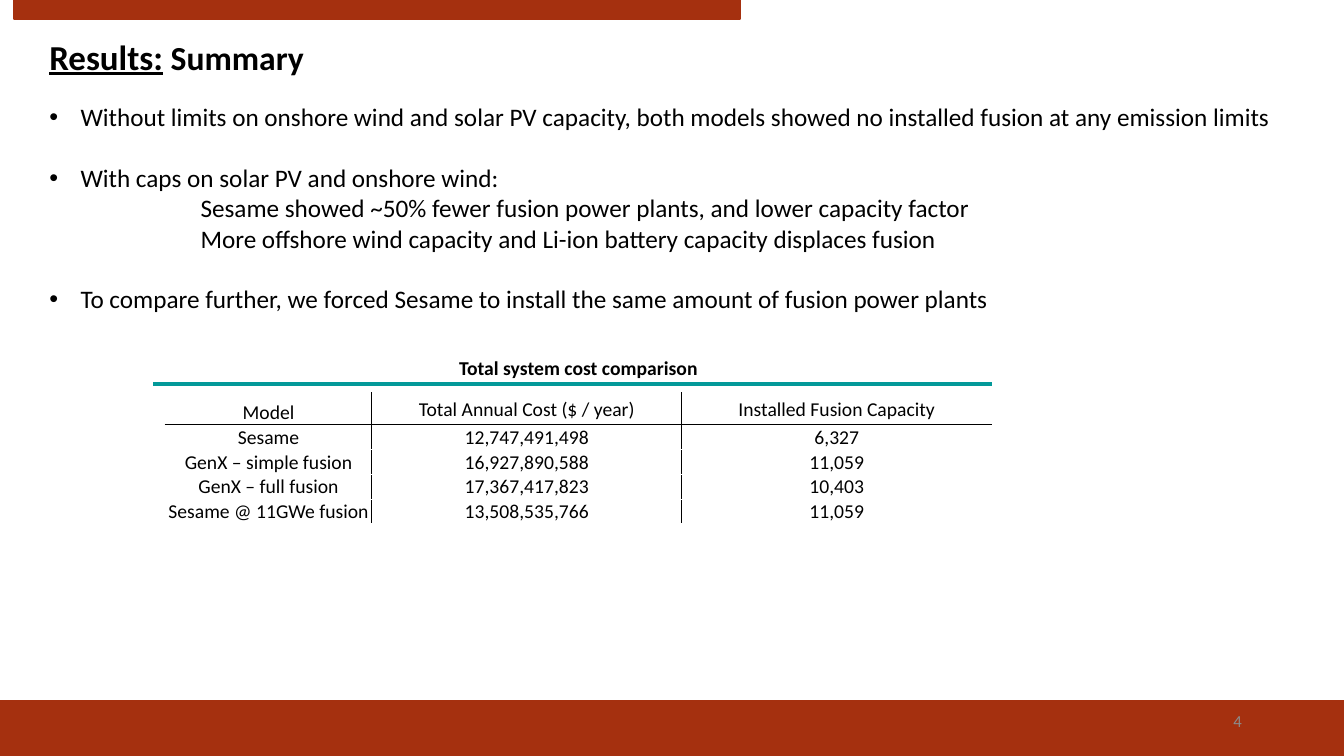
from dataclasses import dataclass

from lxml.etree import SubElement
from pptx import Presentation
from pptx.dml.color import RGBColor
from pptx.enum.shapes import MSO_CONNECTOR, MSO_SHAPE
from pptx.enum.text import MSO_ANCHOR as Anchor, PP_ALIGN as Align
from pptx.oxml.ns import qn
from pptx.util import Emu, Inches, Pt


@dataclass(frozen=True)
class Theme:
    """Colours, font and type sizes of the slide."""
    font: str = "Calibri"
    brick: str = "A5300F"
    teal: str = "039999"
    grey: str = "8C8C8C"
    black: str = "000000"
    white: str = "FFFFFF"
    lead: int = 25
    title: int = 24
    body: int = 18
    table: int = 14
    number: int = 12


@dataclass(frozen=True)
class Box:
    """A rectangle that can be divided into 100 columns and 100 rows."""
    left: float
    top: float
    width: float
    height: float

    def area(self, column, row, columns, rows):
        """Return the box that covers an area of this one."""
        across, down = self.width / 100, self.height / 100
        return Box(self.left + column * across, self.top + row * down,
                   columns * across, rows * down)

    def lengths(self):
        """Return left, top, width and height as whole units."""
        return [Emu(round(value)) for value in
                (self.left, self.top, self.width, self.height)]


THEME = Theme()
BULLETS = [
    ("Without limits on onshore wind and solar PV capacity, both models "
     "showed no installed fusion at any emission limits", []),
    ("With caps on solar PV and onshore wind:", [
        "Sesame showed ~50% fewer fusion power plants, and lower capacity factor",
        "More offshore wind capacity and Li-ion battery capacity displaces fusion"]),
    ("To compare further, we forced Sesame to install the same amount of "
     "fusion power plants", []),
]
COSTS = [
    ("Model", "Total Annual Cost ($ / year)", "Installed Fusion Capacity"),
    ("Sesame", "12,747,491,498", "6,327"),
    ("GenX – simple fusion", "16,927,890,588", "11,059"),
    ("GenX – full fusion", "17,367,417,823", "10,403"),
    ("Sesame @ 11GWe fusion", "13,508,535,766", "11,059"),
]
COLUMN_SHARES = (0.25, 0.375, 0.375)
ROW_SHARES = (0.24, 0.19, 0.19, 0.19, 0.19)


def add_run(paragraph, text, size, color=THEME.black, bold=False, underline=False):
    """Add one styled run to a paragraph."""
    run = paragraph.add_run()
    run.text = text
    font = run.font
    font.name, font.size = THEME.font, Pt(size)
    font.bold, font.underline = bold, underline
    font.color.rgb = RGBColor.from_string(color)


def add_text(slide, box, align=Align.LEFT, anchor=Anchor.TOP):
    """Add a wrapping text box and return its text frame."""
    frame = slide.shapes.add_textbox(*box.lengths()).text_frame
    frame.word_wrap = True
    frame.vertical_anchor = anchor
    frame.paragraphs[0].alignment = align
    return frame


def add_bar(slide, box):
    """Add a solid bar in the main colour."""
    bar = slide.shapes.add_shape(MSO_SHAPE.RECTANGLE, *box.lengths())
    bar.shadow.inherit = False
    bar.fill.solid()
    bar.fill.fore_color.rgb = RGBColor.from_string(THEME.brick)
    bar.line.color.rgb = RGBColor.from_string(THEME.brick)
    bar.line.width = Pt(1)


def add_header(slide, box):
    """Place the top bar and the slide title."""
    add_bar(slide, box.area(1.05, 0, 54, 23))
    title = add_text(slide, box.area(2.93, 36.5, 50.1, 63.5)).paragraphs[0]
    add_run(title, "Results:", THEME.lead, bold=True, underline=True)
    add_run(title, " Summary", THEME.title, bold=True)


def add_footer(slide, box, number):
    """Place the bottom bar and the slide number."""
    add_bar(slide, box)
    frame = add_text(slide, box.area(70.65, 0, 22.5, 73), Align.RIGHT, Anchor.MIDDLE)
    add_run(frame.paragraphs[0], number, THEME.number, THEME.grey)


def set_indent(paragraph, margin, first=0.0, bullet=None):
    """Set the left margin, first-line indent and bullet."""
    properties = paragraph._p.get_or_add_pPr()
    properties.set("marL", str(Inches(margin)))
    properties.set("indent", str(Inches(first)))
    if bullet:
        SubElement(properties, qn("a:buFont")).set("typeface", "Arial")
        SubElement(properties, qn("a:buChar")).set("char", bullet)


def add_findings(slide, box):
    """Place the bulleted findings with their indented details."""
    frame = add_text(slide, box)
    for index, (finding, details) in enumerate(BULLETS):
        paragraph = frame.add_paragraph() if index else frame.paragraphs[0]
        paragraph.space_before = Pt(21.7 if index else 0)
        set_indent(paragraph, 0.31, -0.31, "•")
        add_run(paragraph, finding, THEME.body)
        for detail in details:
            paragraph = frame.add_paragraph()
            paragraph.level = 1
            set_indent(paragraph, 1.5)
            add_run(paragraph, detail, THEME.body)


def set_borders(cell, **colors):
    """Draw the cell edges L, R, T and B in the given colours."""
    properties = cell._tc.get_or_add_tcPr()
    for side, color in colors.items():
        line = SubElement(properties, qn(f"a:ln{side}"), w=str(Pt(1)))
        fill = SubElement(line, qn("a:solidFill"))
        SubElement(fill, qn("a:srgbClr"), val=color)


def fill_cell(cell, text, row, column):
    """Write and style one cell of the cost table."""
    def edge(inked):
        return THEME.black if inked else THEME.white

    set_borders(cell, L=edge(column > 0), R=edge(column < len(COLUMN_SHARES) - 1),
                T=edge(row == 1), B=edge(row == 0))
    cell.fill.background()
    cell.margin_left = cell.margin_top = cell.margin_right = Inches(0.01)
    cell.margin_bottom = 0
    low = column == 0 and row < 3
    cell.vertical_anchor = Anchor.BOTTOM if low else Anchor.MIDDLE
    paragraph = cell.text_frame.paragraphs[0]
    paragraph.alignment = Align.CENTER
    add_run(paragraph, text, THEME.table)


def add_cost_comparison(slide, box):
    """Place the caption, the rule below it and the cost table."""
    caption = add_text(slide, box.area(17.3, 0, 66.8, 19.8), Align.CENTER)
    add_run(caption.paragraphs[0], "Total system cost comparison", THEME.table, bold=True)

    left, top, width, _ = box.area(0, 19.2, 100, 0).lengths()
    rule = slide.shapes.add_connector(MSO_CONNECTOR.STRAIGHT, left, top, left + width, top)
    rule.line.color.rgb = RGBColor.from_string(THEME.teal)
    rule.line.width = Pt(2.25)
    SubElement(rule._element.spPr, qn("a:effectLst"))

    grid = box.area(1.44, 24.4, 98.56, 75.6)
    table = slide.shapes.add_table(len(COSTS), len(COSTS[0]), *grid.lengths()).table
    table.first_row = table.horz_banding = False
    for column, share in zip(table.columns, COLUMN_SHARES):
        column.width = Emu(round(grid.width * share))
    for row, share in zip(table.rows, ROW_SHARES):
        row.height = Emu(round(grid.height * share))
    for row, texts in enumerate(COSTS):
        for column, text in enumerate(texts):
            fill_cell(table.cell(row, column), text, row, column)


def main():
    """Build the slide and save it."""
    presentation = Presentation()
    presentation.slide_width, presentation.slide_height = Inches(13.33), Inches(7.5)
    slide = presentation.slides.add_slide(presentation.slide_layouts[6])
    page = Box(0, 0, presentation.slide_width, presentation.slide_height)
    add_footer(slide, page.area(0, 92.67, 100, 7.33), "4")
    add_header(slide, page.area(0, 0, 100, 11))
    add_cost_comparison(slide, page.area(11.4, 46.4, 62.4, 22.93))
    add_findings(slide, page.area(2.93, 12.8, 92.65, 29.6))
    presentation.save("out.pptx")


main()
